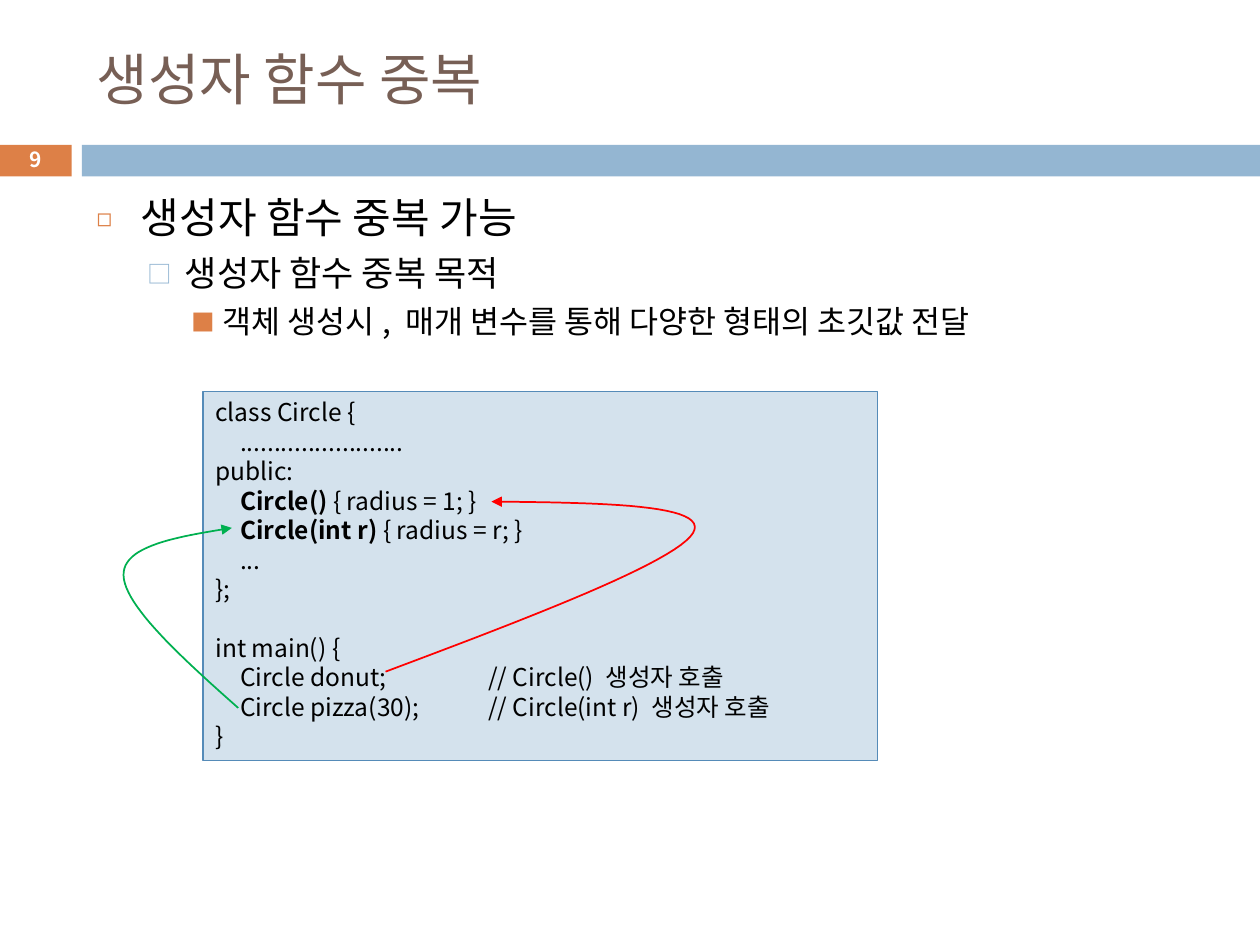
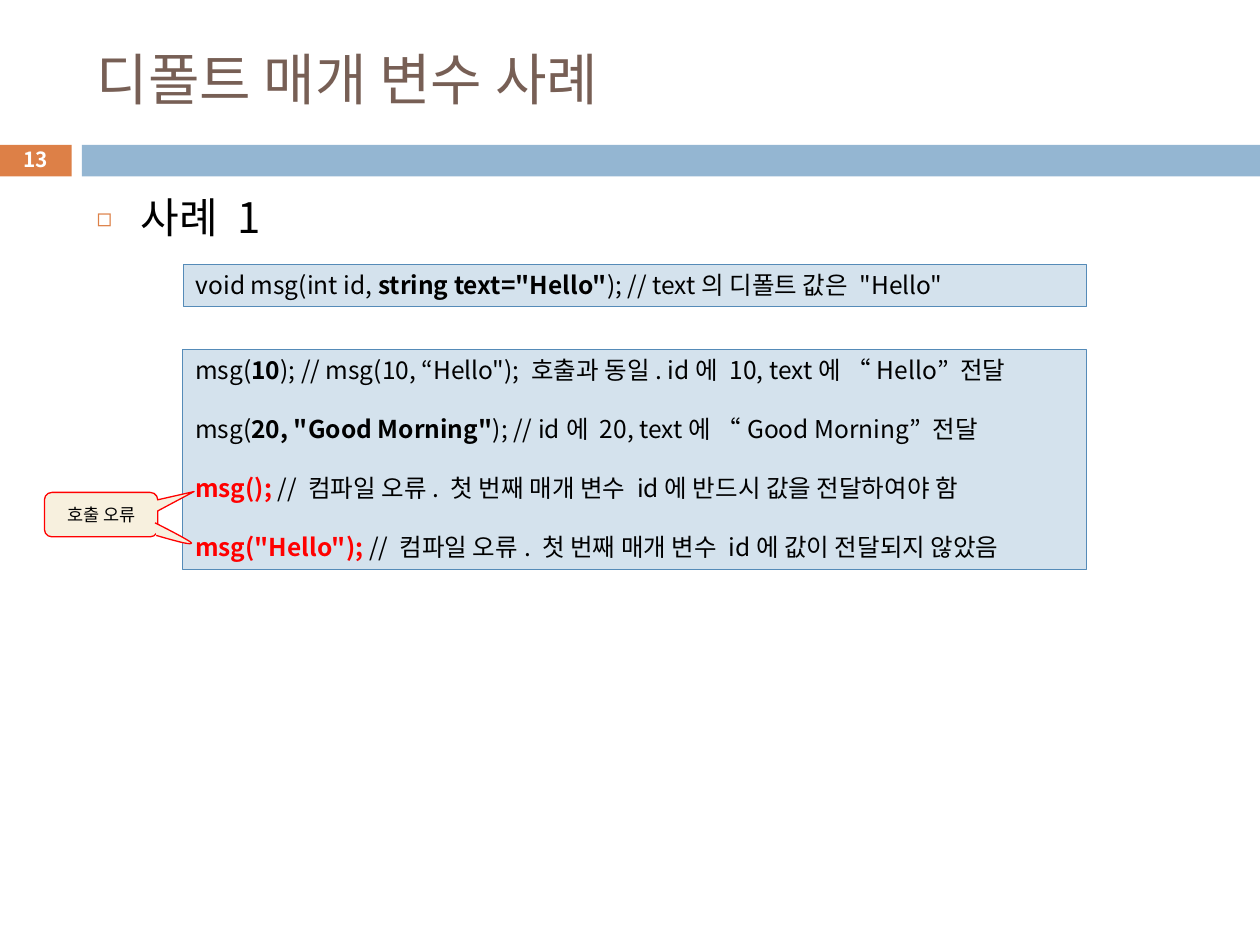
from dataclasses import dataclass

from lxml import etree
from pptx import Presentation
from pptx.dml.color import RGBColor
from pptx.enum.shapes import MSO_SHAPE
from pptx.enum.text import MSO_ANCHOR, PP_ALIGN
from pptx.oxml.ns import qn
from pptx.shapes.autoshape import Shape
from pptx.slide import Slide
from pptx.text.text import _Paragraph, _Run
from pptx.util import Pt

RECTANGLE = MSO_SHAPE.RECTANGLE
CALLOUT = MSO_SHAPE.ROUNDED_RECTANGULAR_CALLOUT
TOP, MIDDLE = MSO_ANCHOR.TOP, MSO_ANCHOR.MIDDLE
CENTER = PP_ALIGN.CENTER

FONT = "Noto Sans CJK KR"
BLACK = RGBColor(0x00, 0x00, 0x00)
WHITE = RGBColor(0xFF, 0xFF, 0xFF)
BROWN = RGBColor(0x77, 0x5F, 0x55)
ORANGE = RGBColor(0xDD, 0x80, 0x47)
BLUE = RGBColor(0x94, 0xB6, 0xD2)
CODE_FILL = RGBColor(0xD4, 0xE2, 0xED)
CODE_LINE = RGBColor(0x55, 0x8B, 0xB8)
CREAM = RGBColor(0xF7, 0xF0, 0xDE)
RED = RGBColor(0xFF, 0x00, 0x00)
GREEN = RGBColor(0x00, 0xB0, 0x50)

LINE_HEIGHT = 1.2
CODE_SIZE = 14
CODE_TABS = (14.17, 155.9)
CURVE_STEPS = 24

Point = tuple[float, float]


@dataclass(frozen=True)
class Box:
    """A rectangle on the slide, in points."""

    left: float
    top: float
    width: float
    height: float

    def lengths(self) -> tuple[Pt, Pt, Pt, Pt]:
        """Return the four sides as lengths."""
        return Pt(self.left), Pt(self.top), Pt(self.width), Pt(self.height)


@dataclass(frozen=True)
class BulletLevel:
    """The look of one outline level."""

    size: float
    margin: float
    hanging: float
    space_before: float
    symbol: str
    color: RGBColor
    percent: int


@dataclass(frozen=True)
class Span:
    """A stretch of code in one style."""

    text: str
    bold: bool = False
    color: RGBColor = BLACK


@dataclass(frozen=True)
class CodeLine:
    """A line of code, with the number of empty lines above it."""

    spans: tuple[Span, ...]
    gap: int = 0


@dataclass(frozen=True)
class Curve:
    """A chain of cubic curves: a start, then three points for each piece."""

    points: tuple[Point, ...]
    color: RGBColor
    width: float


NUMBER_BAND = Box(0, 82.8, 41, 18)
TITLE_BAND = Box(46.8, 82.8, 673.2, 18)
TITLE_BOX = Box(48.2, 18, 642.2, 53.3)
NUMBER_BOX = Box(0, 81.5, 41, 19.4)

LEVELS = (
    BulletLevel(24, 25.2, 25.2, 7, "◻", ORANGE, 60),
    BulletLevel(20, 50.4, 21.6, 5.5, "□", BLUE, 70),
    BulletLevel(18, 72, 18, 5, "■", ORANGE, 75),
)

CIRCLE_CODE = (
    CodeLine((Span("class Circle {"),)),
    CodeLine((Span("\t........................"),)),
    CodeLine((Span("public:"),)),
    CodeLine((Span("\t"), Span("Circle()", True), Span(" { radius = 1; }"))),
    CodeLine((Span("\t"), Span("Circle(int r)", True), Span(" { radius = r; }"))),
    CodeLine((Span("\t..."),)),
    CodeLine((Span("};"),)),
    CodeLine((Span("int main() {"),), gap=1),
    CodeLine((Span("\tCircle donut;\t// Circle() 생성자 호출"),)),
    CodeLine((Span("\tCircle pizza(30);\t// Circle(int r) 생성자 호출"),)),
    CodeLine((Span("}"),)),
)
DECLARATION_CODE = (
    CodeLine((
        Span("void msg(int id, "),
        Span('string text="Hello"', True),
        Span('); // text의 디폴트 값은 "Hello"'),
    )),
)
CALL_CODE = (
    CodeLine((
        Span("msg("),
        Span("10", True),
        Span('); // msg(10, “Hello"); 호출과 동일. id에 10, text에 “Hello” 전달'),
    )),
    CodeLine((
        Span("msg("),
        Span('20, "Good Morning"', True),
        Span("); // id에 20, text에 “Good Morning” 전달"),
    ), gap=1),
    CodeLine((
        Span("msg(); ", True, RED),
        Span("// 컴파일 오류. 첫 번째 매개 변수 id에 반드시 값을 전달하여야 함"),
    ), gap=1),
    CodeLine((
        Span('msg("Hello"); ', True, RED),
        Span("// 컴파일 오류. 첫 번째 매개 변수 id에 값이 전달되지 않았음"),
    ), gap=1),
)

DONUT_ARROW = Curve(
    ((220.3, 383.8), (303.1, 352.8), (385.9, 321.1), (396, 304.6),
     (406.1, 288), (343.4, 287.3), (280.8, 286.6)), RED, 1)
PIZZA_ARROW = Curve(
    ((136.1, 404.6), (103.7, 375.8), (71.3, 346.3), (70.6, 329),
     (69.8, 311.8), (101.5, 306.7), (132.5, 301.7)), GREEN, 1)
SECOND_POINTER = Curve(
    ((88.6, 298.8), (98.6, 303.8), (109.4, 309.6), (109.4, 310.3),
     (109.4, 311.8), (99.4, 308.9), (89.3, 306)), RED, 0.75)


def style_run(run: _Run, size: float, color: RGBColor, bold: bool = False) -> None:
    """Set font, size, colour and weight of a run."""
    run.font.name = FONT
    run.font.size = Pt(size)
    run.font.bold = bold
    run.font.color.rgb = color
    etree.SubElement(run.font._element, qn("a:ea"), typeface=FONT)


def space_paragraph(paragraph: _Paragraph, size: float, before: float) -> None:
    """Set the line height and the space above a paragraph."""
    paragraph.line_spacing = Pt(size * LINE_HEIGHT)
    paragraph.space_before = Pt(before)


def add_box(slide: Slide, box: Box, fill: RGBColor, line: RGBColor | None = None,
            kind: MSO_SHAPE = RECTANGLE) -> Shape:
    """Add a filled shape with an optional thin outline."""
    shape = slide.shapes.add_shape(kind, *box.lengths())
    shape.shadow.inherit = False
    shape.fill.solid()
    shape.fill.fore_color.rgb = fill
    if line is None:
        shape.line.fill.background()
    else:
        shape.line.color.rgb = line
        shape.line.width = Pt(0.75)
    return shape


def write_label(shape: Shape, text: str, size: float, color: RGBColor,
                bold: bool = False, align: PP_ALIGN | None = None) -> None:
    """Write one vertically centred line into a shape."""
    frame = shape.text_frame
    frame.word_wrap = True
    frame.vertical_anchor = MIDDLE
    frame.text = text
    paragraph = frame.paragraphs[0]
    paragraph.alignment = align
    style_run(paragraph.runs[0], size, color, bold)


def add_base_slide(presentation: Presentation, title: str, number: int) -> Slide:
    """Add a slide with its bands, title and number."""
    slide = presentation.slides.add_slide(presentation.slide_layouts[6])
    add_box(slide, NUMBER_BAND, ORANGE)
    add_box(slide, TITLE_BAND, BLUE)
    title_shape = slide.shapes.add_textbox(*TITLE_BOX.lengths())
    write_label(title_shape, title, 32, BROWN)
    number_shape = slide.shapes.add_textbox(*NUMBER_BOX.lengths())
    write_label(number_shape, str(number), 11.9, WHITE, True, CENTER)
    return slide


def add_outline(slide: Slide, box: Box, lines: tuple[str, ...]) -> None:
    """Add bulleted lines, each one level below the line before."""
    frame = slide.shapes.add_textbox(*box.lengths()).text_frame
    frame.word_wrap = True
    frame.text = "\n".join(lines)
    for paragraph, level in zip(frame.paragraphs, LEVELS):
        space_paragraph(paragraph, level.size, level.space_before)
        style_run(paragraph.runs[0], level.size, BLACK)
        properties = paragraph._p.get_or_add_pPr()
        properties.set("marL", str(Pt(level.margin)))
        properties.set("indent", str(-Pt(level.hanging)))
        color = etree.SubElement(properties, qn("a:buClr"))
        etree.SubElement(color, qn("a:srgbClr"), val=str(level.color))
        etree.SubElement(properties, qn("a:buSzPct"), val=str(level.percent * 1000))
        etree.SubElement(properties, qn("a:buFont"), typeface=FONT)
        etree.SubElement(properties, qn("a:buChar"), char=level.symbol)


def add_code(slide: Slide, box: Box, lines: tuple[CodeLine, ...]) -> None:
    """Add a framed block of code."""
    frame = add_box(slide, box, CODE_FILL, CODE_LINE).text_frame
    frame.word_wrap = True
    frame.vertical_anchor = TOP
    for index, line in enumerate(lines):
        paragraph = frame.add_paragraph() if index else frame.paragraphs[0]
        paragraph.alignment = PP_ALIGN.LEFT
        space_paragraph(paragraph, CODE_SIZE, line.gap * CODE_SIZE * LINE_HEIGHT)
        tabs = etree.SubElement(paragraph._p.get_or_add_pPr(), qn("a:tabLst"))
        for position in CODE_TABS:
            etree.SubElement(tabs, qn("a:tab"), pos=str(Pt(position)), algn="l")
        for span in line.spans:
            run = paragraph.add_run()
            run.text = span.text
            style_run(run, CODE_SIZE, span.color, span.bold)


def curve_points(points: tuple[Point, ...]) -> list[Point]:
    """Return points along a chain of cubic curves."""
    result = [points[0]]
    for start in range(0, len(points) - 1, 3):
        piece = points[start:start + 4]
        for step in range(1, CURVE_STEPS + 1):
            t = step / CURVE_STEPS
            weights = ((1 - t) ** 3, 3 * t * (1 - t) ** 2, 3 * t ** 2 * (1 - t), t ** 3)
            x, y = (sum(w * p[axis] for w, p in zip(weights, piece)) for axis in (0, 1))
            result.append((x, y))
    return result


def add_curve(slide: Slide, curve: Curve) -> Shape:
    """Draw an open, unfilled curve."""
    first, *others = [(Pt(x), Pt(y)) for x, y in curve_points(curve.points)]
    builder = slide.shapes.build_freeform(*first)
    builder.add_line_segments(others, close=False)
    shape = builder.convert_to_shape()
    shape.shadow.inherit = False
    shape.fill.background()
    shape.line.color.rgb = curve.color
    shape.line.width = Pt(curve.width)
    return shape


def add_curved_arrow(slide: Slide, curve: Curve) -> None:
    """Draw a curve that ends in a triangular arrowhead."""
    shape = add_curve(slide, curve)
    etree.SubElement(shape.line._get_or_add_ln(), qn("a:tailEnd"), type="triangle")


def add_overload_slide(presentation: Presentation) -> None:
    """Build the slide on constructor overloading."""
    slide = add_base_slide(presentation, "생성자 함수 중복", 9)
    add_outline(slide, Box(48.2, 105.8, 642.2, 102.2), (
        "생성자 함수 중복 가능",
        "생성자 함수 중복 목적",
        "객체 생성시, 매개 변수를 통해 다양한 형태의 초깃값 전달",
    ))
    add_code(slide, Box(116, 223.6, 385.4, 211), CIRCLE_CODE)
    add_curved_arrow(slide, DONUT_ARROW)
    add_curved_arrow(slide, PIZZA_ARROW)


def add_default_slide(presentation: Presentation) -> None:
    """Build the slide on default parameters."""
    slide = add_base_slide(presentation, "디폴트 매개 변수 사례", 13)
    add_outline(slide, Box(48.2, 105.8, 642.2, 396.7), ("사례 1",))
    add_code(slide, Box(104.8, 151, 516.2, 24.3), DECLARATION_CODE)
    add_code(slide, Box(104.4, 199.6, 516.4, 126), CALL_CODE)
    callout = add_box(slide, Box(25.4, 281.4, 64.8, 25.4), CREAM, RED, CALLOUT)
    for index, value in enumerate((0.82, -0.52, 0.17)):
        callout.adjustments[index] = value
    write_label(callout, "호출 오류", 10, BLACK, align=CENTER)
    pointer = add_curve(slide, SECOND_POINTER)
    pointer.fill.solid()
    pointer.fill.fore_color.rgb = CREAM


def main() -> None:
    """Build and save the presentation."""
    presentation = Presentation()
    presentation.slide_width, presentation.slide_height = Pt(720), Pt(540)
    add_overload_slide(presentation)
    add_default_slide(presentation)
    presentation.save("out.pptx")


if __name__ == "__main__":
    main()
